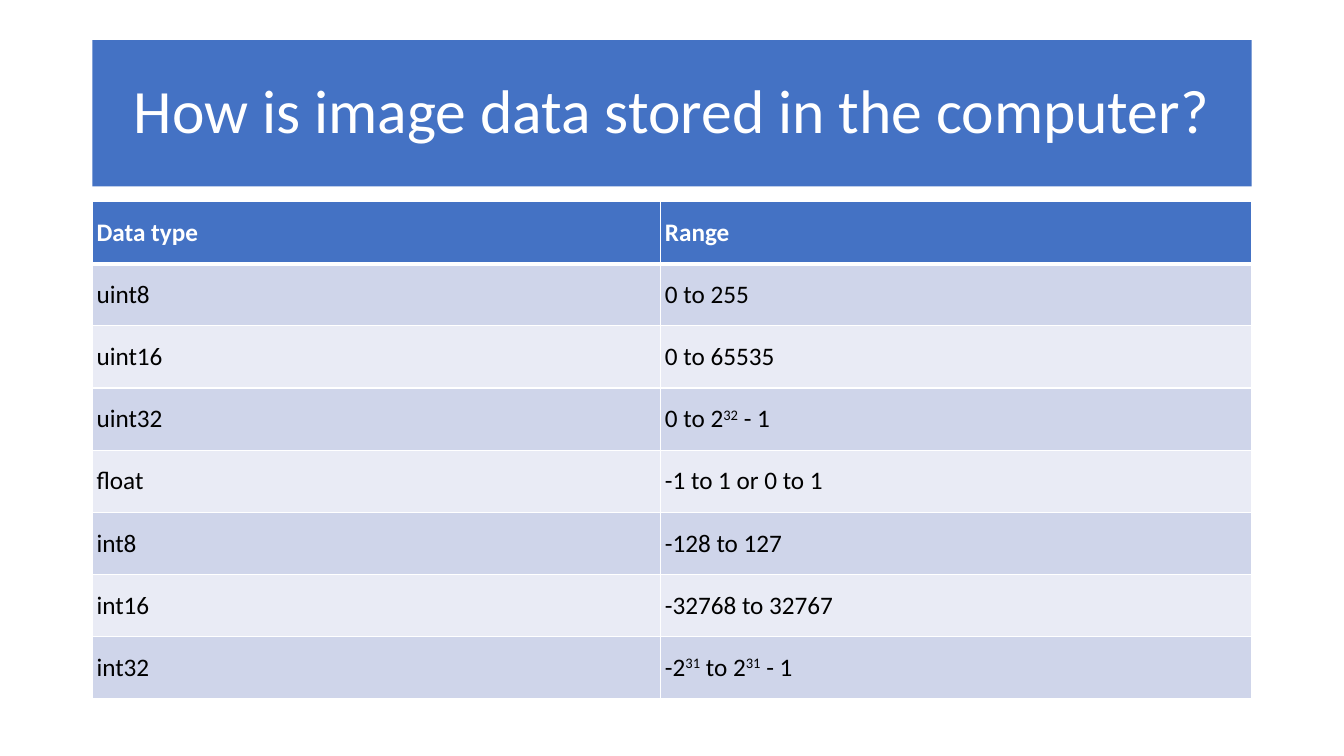
from lxml import etree
from pptx import Presentation
from pptx.dml.color import RGBColor
from pptx.enum.text import MSO_ANCHOR, MSO_AUTO_SIZE, PP_ALIGN
from pptx.oxml.ns import qn
from pptx.util import Pt

MIDDLE = MSO_ANCHOR.MIDDLE
NO_FIT = MSO_AUTO_SIZE.NONE
LEFT, CENTER = PP_ALIGN.LEFT, PP_ALIGN.CENTER
TITLE_ONLY = 5

COLORS = {
    "accent": "4472C4",
    "band_dark": "CFD5EA",
    "band_light": "E9EBF5",
    "white": "FFFFFF",
    "black": "000000",
}

# Text between carets is raised
ROWS = [
    ("Data type", "Range"),
    ("uint8", "0 to 255"),
    ("uint16", "0 to 65535"),
    ("uint32", "0 to 2^32^ - 1"),
    ("float", "-1 to 1 or 0 to 1"),
    ("int8", "-128 to 127"),
    ("int16", "-32768 to 32767"),
    ("int32", "-2^31^ to 2^31^ - 1"),
]


def rgb(name):
    return RGBColor.from_string(COLORS[name])


def write(tf, text, size=18, color="black", bold=False, align=LEFT, font="Calibri"):
    p = tf.paragraphs[0]
    p.alignment = align
    for i, part in enumerate(text.split("^")):
        r = p.add_run()
        r.text = part
        r.font.name, r.font.size, r.font.bold = font, Pt(size), bold
        r.font.color.rgb = rgb(color)
        if i % 2:
            r.font._element.set("baseline", "30000")
    return p


class Deck:
    def __init__(self, width, height):
        self.prs = Presentation()
        self.prs.slide_width, self.prs.slide_height = Pt(width), Pt(height)
        self.s = None

    def add_slide(self):
        self.s = self.prs.slides.add_slide(self.prs.slide_layouts[TITLE_ONLY])

    def title(self, text, x, y, w, h):
        sp = self.s.shapes.title
        sp.left, sp.top, sp.width, sp.height = Pt(x), Pt(y), Pt(w), Pt(h)
        sp.fill.solid()
        sp.fill.fore_color.rgb = rgb("accent")
        tf = sp.text_frame
        tf.word_wrap, tf.auto_size, tf.vertical_anchor = True, NO_FIT, MIDDLE
        p = write(tf, text, size=44, color="white", align=CENTER)
        p.line_spacing = 0.9

    def borders(self, cell, **widths):
        tc_pr = cell._tc.get_or_add_tcPr()
        for side in "LRTB":
            ln = etree.SubElement(tc_pr, qn(f"a:ln{side}"), w=str(Pt(widths.get(side, 1))))
            fill = etree.SubElement(ln, qn("a:solidFill"))
            etree.SubElement(fill, qn("a:srgbClr"), val=COLORS["white"])

    def cell(self, cell, text, row):
        header = row == 0
        # Borders go before the fill in the cell properties
        self.borders(cell, T=3 if row == 1 else 1, B=3 if header else 1)
        cell.fill.solid()
        band = "band_dark" if row % 2 else "band_light"
        cell.fill.fore_color.rgb = rgb("accent" if header else band)
        cell.vertical_anchor = MIDDLE
        cell.margin_left = cell.margin_right = Pt(3)
        cell.margin_top = cell.margin_bottom = Pt(3)
        write(cell.text_frame, text, color="white" if header else "black", bold=header)

    def table(self, rows, x, y, col_widths, row_height):
        frame = self.s.shapes.add_table(
            len(rows), len(col_widths), Pt(x), Pt(y),
            Pt(sum(col_widths)), Pt(row_height * len(rows)))
        table = frame.table
        for col, width in zip(table.columns, col_widths):
            col.width = Pt(width)
        for i, values in enumerate(rows):
            table.rows[i].height = Pt(row_height)
            for j, text in enumerate(values):
                self.cell(table.cell(i, j), text, i)


def main():
    deck = Deck(960, 540)
    deck.add_slide()
    # Title band
    deck.title("How is image data stored in the computer?", 66, 28.75, 828, 104.4)
    # Data types and their ranges
    deck.table(ROWS, 66, 144, (406, 422), 44.4)
    deck.prs.save("out.pptx")


if __name__ == "__main__":
    main()
